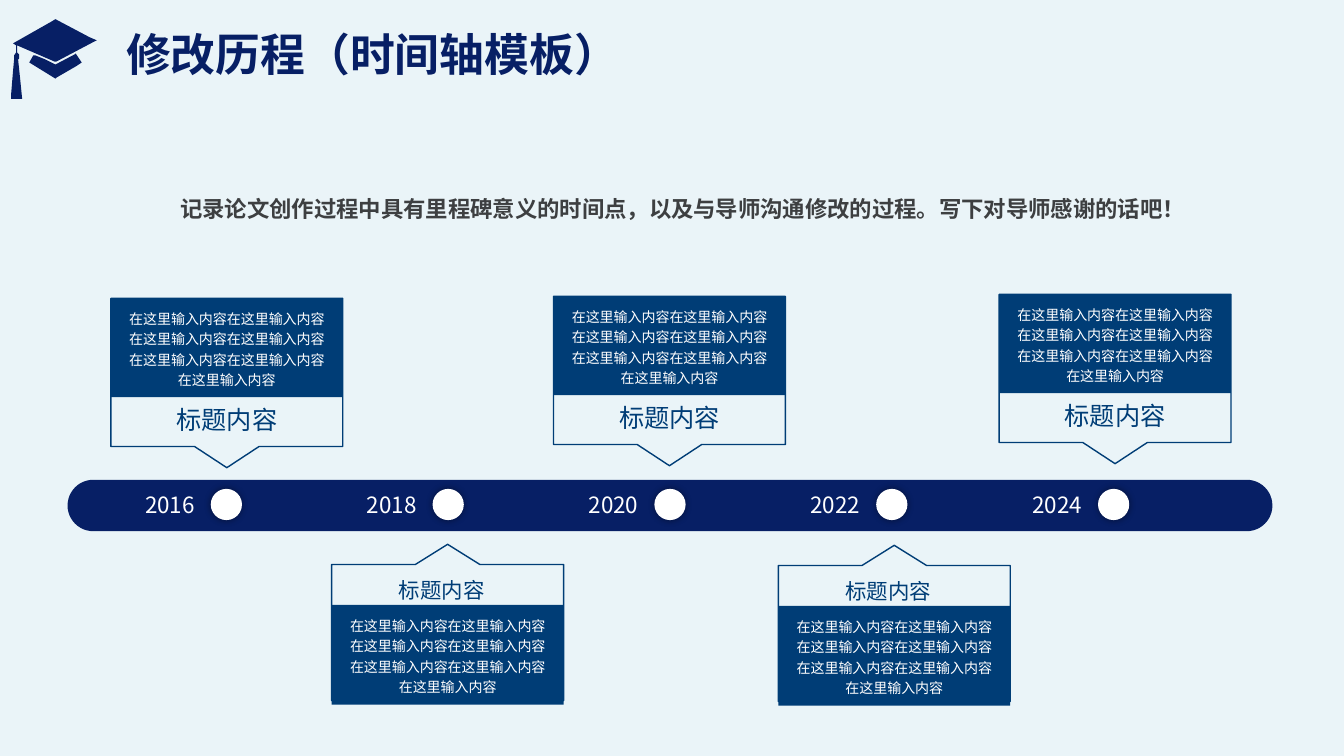
from lxml.etree import SubElement
from pptx import Presentation
from pptx.dml.color import RGBColor
from pptx.enum.shapes import MSO_SHAPE
from pptx.enum.text import MSO_ANCHOR, MSO_AUTO_SIZE, PP_ALIGN
from pptx.oxml.ns import qn
from pptx.util import Inches, Pt

# Content
TITLE = "修改历程（时间轴模板）"
INTRO = "记录论文创作过程中具有里程碑意义的时间点，以及与导师沟通修改的过程。写下对导师感谢的话吧！"
CARD_TITLE = "标题内容"
CARD_TEXT = "在这里输入内容" * 7
# Year, card left, card top, card sits above the bar
MILESTONES = [
    ("2016", 1.10, 2.96, True),
    ("2018", 3.29, 5.40, False),
    ("2020", 5.49, 2.94, True),
    ("2022", 7.72, 5.41, False),
    ("2024", 9.91, 2.92, True),
]
CAP_BOARD = [
    (0.17, 0.45), (0.17, 0.52), (0.19, 0.54), (0.19, 0.58), (0.18, 0.59),
    (0.2, 0.78), (0.22, 0.98), (0.11, 0.98), (0.11, 0.94), (0.13, 0.7),
    (0.14, 0.59), (0.14, 0.55), (0.16, 0.52), (0.16, 0.45), (0.13, 0.43),
    (0.5, 0.22), (0.55, 0.19), (0.89, 0.37), (0.96, 0.4), (0.92, 0.42),
    (0.56, 0.61), (0.54, 0.61),
]
CAP_BASE = [
    (0.29, 0.62), (0.33, 0.55), (0.35, 0.55), (0.45, 0.59), (0.55, 0.64),
    (0.74, 0.54), (0.75, 0.53), (0.81, 0.62), (0.75, 0.66), (0.56, 0.77),
    (0.55, 0.78),
]

# Style
FONT = "Noto Sans CJK SC"
PALE = RGBColor(0xEA, 0xF4, 0xF8)
NAVY = RGBColor(0x07, 0x1F, 0x65)
BLUE = RGBColor(0x00, 0x3D, 0x76)
GREY = RGBColor(0x3D, 0x3F, 0x41)
WHITE = RGBColor(0xFF, 0xFF, 0xFF)

# Geometry
CARD_W, NOTCH_W = 2.3, 0.64
FIRST_DOT, DOT_STEP, DOT = 2.09, 2.2, 0.31


def write(shape, text, size, color, bold=False, align=PP_ALIGN.CENTER,
          spacing=1.0, **frame):
    tf = shape.text_frame
    settings = {"word_wrap": True, "auto_size": MSO_AUTO_SIZE.NONE,
                "vertical_anchor": MSO_ANCHOR.MIDDLE, **frame}
    for name, value in settings.items():
        setattr(tf, name, value)
    p = tf.paragraphs[0]
    p.alignment, p.line_spacing = align, spacing
    r = p.add_run()
    r.text = text
    for name, value in {"size": Pt(size), "bold": bold, "name": FONT}.items():
        setattr(r.font, name, value)
    r.font.color.rgb = color
    SubElement(r.font._element, qn("a:ea")).set("typeface", FONT)


def add_text(s, box, *args, **kwargs):
    write(s.shapes.add_textbox(*map(Inches, box)), *args, **kwargs)


def add_block(s, kind, box, color):
    sp = s.shapes.add_shape(kind, *map(Inches, box))
    sp.fill.solid()
    sp.fill.fore_color.rgb = color
    sp.line.fill.background()
    sp.shadow.inherit = False
    return sp


def add_outline(s, points, fill=None, line=None):
    start, *rest = [(Inches(x), Inches(y)) for x, y in points]
    builder = s.shapes.build_freeform(*start)
    builder.add_line_segments(rest, close=True)
    sp = builder.convert_to_shape()
    sp.shadow.inherit = False
    if fill is None:
        sp.fill.background()
    else:
        sp.fill.solid()
        sp.fill.fore_color.rgb = fill
    if line is None:
        sp.line.fill.background()
    else:
        sp.line.color.rgb = line
        sp.line.width = Pt(1)


def add_dot(s, x):
    dot = add_block(s, MSO_SHAPE.OVAL, (x, 4.85, DOT, DOT), WHITE)
    effects = dot._element.spPr.find(qn("a:effectLst"))
    glow = SubElement(effects, qn("a:outerShdw"), blurRad=str(Pt(5)), dist="0", dir="0")
    black = SubElement(glow, qn("a:srgbClr"), val="000000")
    SubElement(black, qn("a:alpha"), val="40000")


def add_card(s, x, y, above):
    if above:
        far, shoulder, tip = y, y + 1.47, y + 1.68
        panel_y, panel_h = y, 0.98
        label, size = (x, y + 0.98, CARD_W, 0.44), 18
    else:
        far, shoulder, tip = y + 1.55, y + 0.2, y
        panel_y, panel_h = y + 0.6, 0.99
        label, size = (x - 0.06, y + 0.29, CARD_W, 0.32), 15.3
    right, mid = x + CARD_W, x + CARD_W / 2
    add_outline(s, [(x, far), (right, far), (right, shoulder),
                    (mid + NOTCH_W / 2, shoulder), (mid, tip),
                    (mid - NOTCH_W / 2, shoulder), (x, shoulder)], line=BLUE)
    panel = add_block(s, MSO_SHAPE.RECTANGLE, (x, panel_y, CARD_W, panel_h), BLUE)
    write(panel, CARD_TEXT, 10, WHITE, spacing=1.2,
          margin_left=Inches(0.16), margin_right=Inches(0.16))
    add_text(s, label, CARD_TITLE, size, BLUE, word_wrap=False)


prs = Presentation()
prs.slide_width, prs.slide_height = Inches(13.33), Inches(7.5)
s = prs.slides.add_slide(prs.slide_layouts[5])
s.background.fill.solid()
s.background.fill.fore_color.rgb = PALE

# Graduation cap
for points in (CAP_BOARD, CAP_BASE):
    add_outline(s, points, fill=NAVY)

# Title and introduction
title = s.shapes.title
title.left, title.top, title.width, title.height = map(Inches, (1.15, 0.09, 12.09, 0.77))
write(title, TITLE, 32, NAVY, bold=True, align=PP_ALIGN.LEFT, spacing=0.9,
      vertical_anchor=MSO_ANCHOR.BOTTOM)
add_text(s, (1.69, 1.89, 11.37, 0.37), INTRO, 16, GREY, bold=True,
         align=PP_ALIGN.LEFT, vertical_anchor=MSO_ANCHOR.TOP)

# Timeline bar
bar = add_block(s, MSO_SHAPE.ROUNDED_RECTANGLE, (0.67, 4.76, 11.95, 0.51), NAVY)
bar.adjustments[0] = 0.5

# Milestones
for i, (year, card_x, card_y, above) in enumerate(MILESTONES):
    dot_x = FIRST_DOT + i * DOT_STEP
    add_dot(s, dot_x)
    add_text(s, (dot_x - 0.69, 4.86, 0.57, 0.3), year, 16, WHITE, word_wrap=False)
    add_card(s, card_x, card_y, above)

prs.save("out.pptx")
